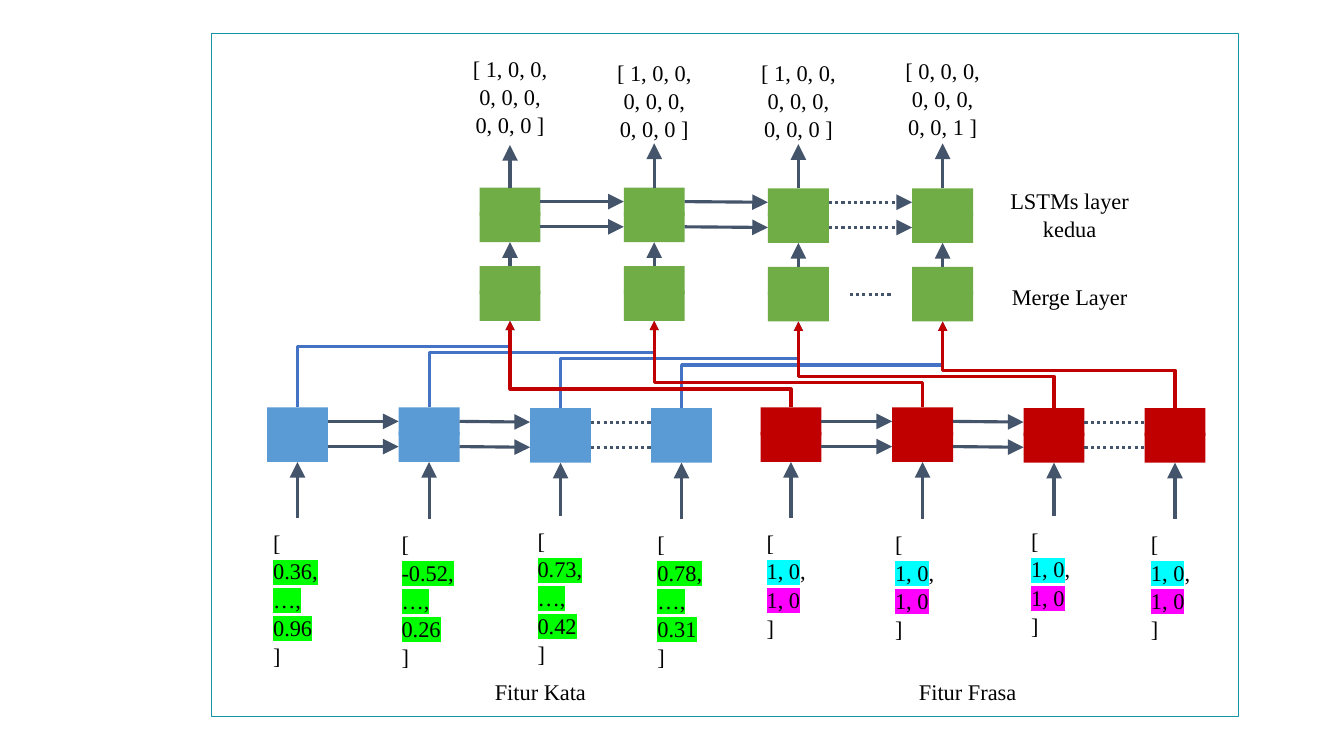
from lxml import etree
from pptx import Presentation
from pptx.dml.color import RGBColor
from pptx.enum.dml import MSO_LINE
from pptx.enum.shapes import MSO_CONNECTOR, MSO_SHAPE
from pptx.enum.text import PP_ALIGN
from pptx.oxml.ns import qn
from pptx.util import Pt

STRAIGHT, ELBOW = MSO_CONNECTOR.STRAIGHT, MSO_CONNECTOR.ELBOW
RECTANGLE = MSO_SHAPE.RECTANGLE
DOTTED = MSO_LINE.ROUND_DOT
LEFT, CENTER = PP_ALIGN.LEFT, PP_ALIGN.CENTER

BLACK = RGBColor(0x00, 0x00, 0x00)
TEAL = RGBColor(0x16, 0x95, 0xA4)
SLATE = RGBColor(0x44, 0x54, 0x6A)
SKY = RGBColor(0x5B, 0x9B, 0xD5)
BLUE = RGBColor(0x44, 0x72, 0xC4)
RED = RGBColor(0xC0, 0x00, 0x00)
GREEN = RGBColor(0x70, 0xAD, 0x47)
LIME = RGBColor(0x00, 0xFF, 0x00)
CYAN = RGBColor(0x00, 0xFF, 0xFF)
MAGENTA = RGBColor(0xFF, 0x00, 0xFF)

CELL_WIDTH, CELL_HEIGHT = 43.5, 39
LINK_OFFSETS = (10, 28)
ROW_DROPS = (0, 0, 0.5, 0.5)
LSTM_TOP, MERGE_TOP, FEATURE_TOP = 134, 190.2, 291
WORD_CENTERS = (212.5, 306.5, 400.4, 486.8)
PHRASE_CENTERS = [center + 352.5 for center in WORD_CENTERS]
MERGE_CENTERS = [364.3 + 103 * step for step in range(4)]
INPUT_WIDTHS = (49, 53.5, 47, 48.5)
INPUT_TOPS = (370, 370.8, 368.6, 370.8)
BLUE_BEND, RED_BEND, BEND_STEP = 247.6, 277.9, 4.4

WORD_VALUES = ("0.36, …, 0.96", "-0.52, …, 0.26", "0.73, …, 0.42", "0.78, …, 0.31")
OUTPUTS = (
    ("[ 1, 0, 0, 0, 0, 0, 0, 0, 0 ]", 31, 73, 103.6),
    ("[ 1, 0, 0, 0, 0, 0, 0, 0, 0 ]", 33.8, 70, 102.4),
    ("[ 1, 0, 0, 0, 0, 0, 0, 0, 0 ]", 33.8, 71, 103),
    ("[ 0, 0, 0, 0, 0, 0, 0, 0, 1 ]", 32.4, 72, 102.4),
)
LABELS = (
    ("LSTMs layer kedua", 764, 125.3),
    ("Merge Layer", 764, 194.4),
    ("Fitur Kata", 386, 476.6),
    ("Fitur Frasa", 691.2, 476.2),
)


def add_rect(page, left, top, width, height):
    box = page.shapes.add_shape(RECTANGLE, Pt(left), Pt(top), Pt(width), Pt(height))
    box.shadow.inherit = False
    return box


def add_frame(page):
    frame = add_rect(page, 151.2, 24, 733.6, 488)
    frame.fill.background()
    frame.line.color.rgb = TEAL
    frame.line.width = Pt(0.75)


def add_cell(page, center, top, color):
    for offset, height in ((0, 20), (17.5, CELL_HEIGHT - 17.5)):
        half = add_rect(page, center - CELL_WIDTH / 2, top + offset, CELL_WIDTH, height)
        half.fill.solid()
        half.fill.fore_color.rgb = color
        half.line.fill.background()


def add_line(page, kind, start, end, color, head=None, dash=None):
    line = page.shapes.add_connector(kind, *(Pt(value) for value in (*start, *end)))
    line.line.color.rgb = color
    line.line.width = Pt(2.25)
    if dash:
        line.line.dash_style = dash
    properties = line._element.spPr
    if head:
        etree.SubElement(properties.find(qn("a:ln")), qn("a:tailEnd"),
                         type="triangle", w=head, len=head)
    etree.SubElement(properties, qn("a:effectLst"))
    return line


def add_riser(page, start, end, bend, color):
    (x1, y1), (x2, y2) = start, end
    middle_x, middle_y = (x1 + x2) / 2, (y1 + y2) / 2
    half_rise, half_run = (y1 - y2) / 2, abs(x2 - x1) / 2
    side = 1 if x2 > x1 else -1
    line = add_line(page, ELBOW,
                    (middle_x + side * half_rise, middle_y + half_run),
                    (middle_x - side * half_rise, middle_y - half_run),
                    color, head="med")
    properties = line._element.spPr
    angle = 90 if side == 1 else 270
    properties.find(qn("a:xfrm")).set("rot", str(angle * 60000))
    geometry = properties.find(qn("a:prstGeom"))
    guides = geometry.find(qn("a:avLst"))
    if guides is None:
        guides = etree.SubElement(geometry, qn("a:avLst"))
    share = round((y1 - bend) / (y1 - y2) * 100000)
    etree.SubElement(guides, qn("a:gd"), name="adj1", fmla=f"val {share}")


def add_text(page, center, top, width, height, lines, align=CENTER):
    box = page.shapes.add_textbox(Pt(center - width / 2), Pt(top), Pt(width), Pt(height))
    frame = box.text_frame
    frame.word_wrap = True
    frame.margin_left = frame.margin_right = Pt(7.2)
    frame.margin_top = frame.margin_bottom = Pt(7.2)
    for index, spans in enumerate(lines):
        para = frame.paragraphs[0] if index == 0 else frame.add_paragraph()
        para.alignment = align
        para.line_spacing = 1.05
        para.font.name = "Times New Roman"
        para.font.size = Pt(16)
        para.font.color.rgb = BLACK
        for text, highlight in spans:
            span = para.add_run()
            span.text = text
            if highlight:
                mark = etree.SubElement(span._r.get_or_add_rPr(), qn("a:highlight"))
                etree.SubElement(mark, qn("a:srgbClr"), val=str(highlight))


def add_row(page, centers, top, color):
    for center, drop in zip(centers, ROW_DROPS):
        add_cell(page, center, top + drop, color)


def add_links(page, centers, top, last_head=None):
    for index in range(3):
        last = index == 2
        for offset in LINK_OFFSETS:
            add_line(page, STRAIGHT,
                     (centers[index] + CELL_WIDTH / 2, top + ROW_DROPS[index] + offset),
                     (centers[index + 1] - CELL_WIDTH / 2, top + ROW_DROPS[index + 1] + offset),
                     SLATE, last_head if last else "lg", DOTTED if last else None)


def add_features(page, centers, color, riser_color, bend, bend_step, inputs):
    add_row(page, centers, FEATURE_TOP, color)
    add_links(page, centers, FEATURE_TOP)
    for index, (center, drop) in enumerate(zip(centers, ROW_DROPS)):
        top = INPUT_TOPS[index]
        add_line(page, STRAIGHT, (center, top),
                 (center, FEATURE_TOP + CELL_HEIGHT + drop), SLATE, "lg")
        add_text(page, center, top, INPUT_WIDTHS[index], 89,
                 [[("[", None)], *inputs[index], [("]", None)]], LEFT)
        add_riser(page, (center, FEATURE_TOP + drop),
                  (MERGE_CENTERS[index], MERGE_TOP + CELL_HEIGHT + drop),
                  bend + bend_step * index, riser_color)


def add_outputs(page):
    add_row(page, MERGE_CENTERS, MERGE_TOP, GREEN)
    add_row(page, MERGE_CENTERS, LSTM_TOP, GREEN)
    add_links(page, MERGE_CENTERS, LSTM_TOP, "lg")
    add_line(page, STRAIGHT, (607, 210.2), (637, 210.2), SLATE, dash=DOTTED)
    for center, drop, output in zip(MERGE_CENTERS, ROW_DROPS, OUTPUTS):
        text, top, width, arrow_end = output
        add_line(page, STRAIGHT, (center, MERGE_TOP + drop),
                 (center, LSTM_TOP + CELL_HEIGHT + drop), SLATE, "lg")
        add_line(page, STRAIGHT, (center, LSTM_TOP + drop), (center, arrow_end), SLATE, "lg")
        add_text(page, center, top, width, 70, [[(text, None)]])


def main():
    deck = Presentation()
    deck.slide_width, deck.slide_height = Pt(960), Pt(540)
    page = deck.slides.add_slide(deck.slide_layouts[6])
    add_frame(page)
    word_inputs = [[[(values, LIME)]] for values in WORD_VALUES]
    phrase_inputs = [[[("1, 0", CYAN), (",", None)], [("1, 0", MAGENTA)]]] * 4
    add_features(page, WORD_CENTERS, SKY, BLUE, BLUE_BEND, BEND_STEP, word_inputs)
    add_features(page, PHRASE_CENTERS, RED, RED, RED_BEND, -BEND_STEP, phrase_inputs)
    add_outputs(page)
    for text, center, top in LABELS:
        add_text(page, center, top, 138.2, 48, [[(text, None)]])
    deck.save("out.pptx")


if __name__ == "__main__":
    main()
